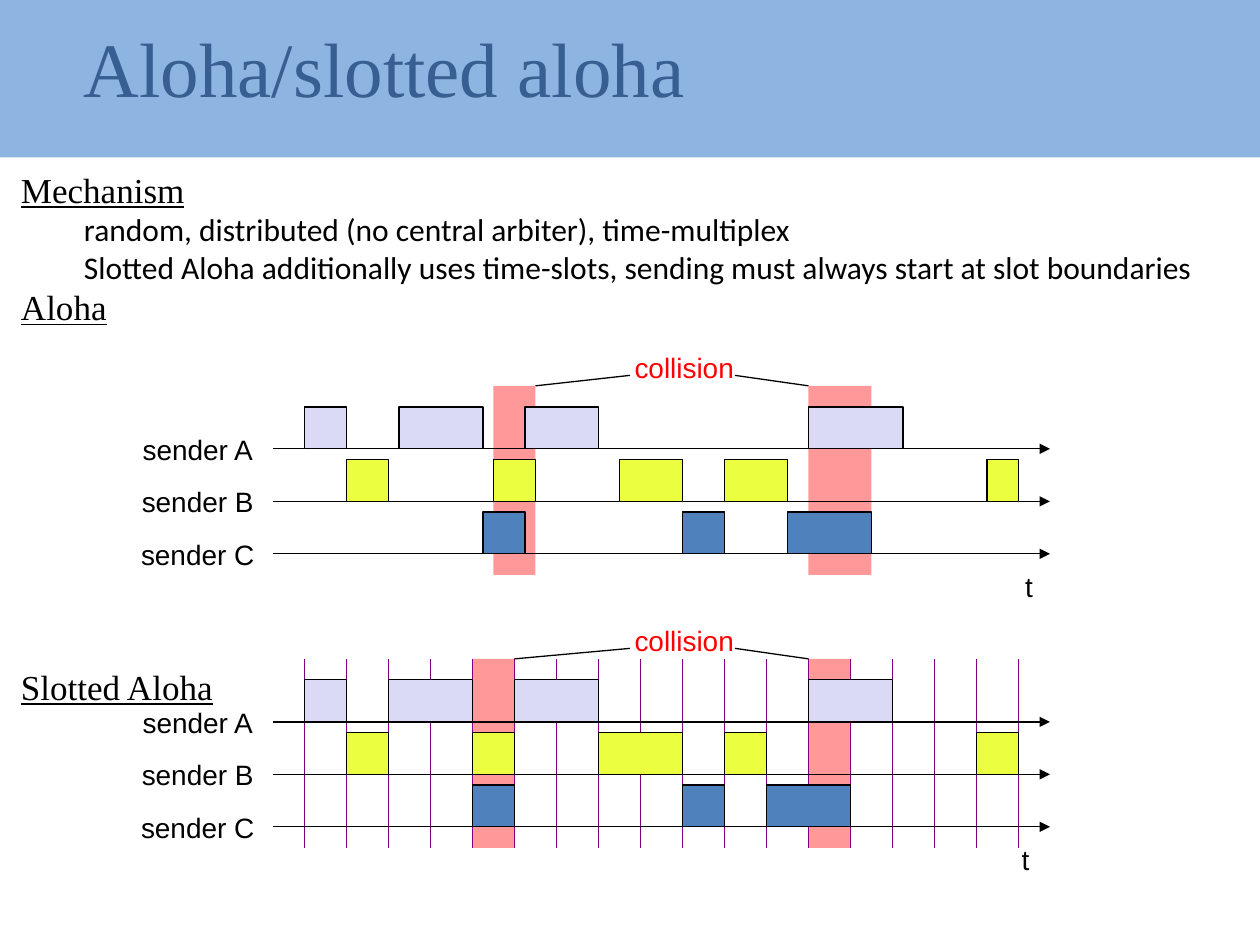
from dataclasses import dataclass

from lxml.etree import SubElement
from pptx import Presentation
from pptx.dml.color import RGBColor
from pptx.enum.shapes import MSO_CONNECTOR, MSO_SHAPE
from pptx.enum.text import MSO_ANCHOR, MSO_AUTO_SIZE, PP_ALIGN
from pptx.oxml.ns import qn
from pptx.util import Pt


@dataclass(frozen=True)
class Theme:
    banner: str = "8EB4E2"
    title: str = "375F92"
    text: str = "000000"
    alert: str = "FF0000"
    band: str = "FF9999"
    grid: str = "800080"
    senders: tuple = (("A", "DADAF6"), ("B", "ECFE40"), ("C", "4F81BD"))
    serif: str = "Times New Roman"
    sans: str = "Calibri"
    label: str = "Arial"
    title_size: int = 44
    heading_size: int = 20
    item_size: int = 18
    label_size: int = 16
    line_width: float = 0.75


THEME = Theme()
SLOT = 24
SLOTS = 17
FIRST_SLOT = 174
ROW_STEP = 30
DIAGRAM_HEIGHT = 108
LABEL_HEIGHT = 26.6

# Bands and packets are (start, length) pairs counted in slots.
DIAGRAMS = (
    {
        "top": 220.5, "time_x": 588, "slotted": False,
        "bands": ((4.5, 1), (12, 1.5)),
        "packets": (
            ((0, 1), (2.25, 2), (5.25, 1.75), (12, 2.25)),
            ((1, 1), (4.5, 1), (7.5, 1.5), (10, 1.5), (16.25, 0.75)),
            ((4.25, 1), (9, 1), (11.5, 2)),
        ),
    },
    {
        "top": 376.5, "time_x": 586, "slotted": True,
        "bands": ((4, 1), (12, 1)),
        "packets": (
            ((0, 1), (2, 2), (5, 2), (12, 2)),
            ((1, 1), (4, 1), (7, 2), (10, 1), (16, 1)),
            ((4, 1), (9, 1), (11, 2)),
        ),
    },
)

# (text, level, space before)
OUTLINE = (
    ("Mechanism", 0, 0),
    ("random, distributed (no central arbiter), time-multiplex", 1, 0),
    ("Slotted Aloha additionally uses time-slots, sending must always start"
     " at slot boundaries", 1, 0),
    ("Aloha", 0, 0),
    ("Slotted Aloha", 0, 193),
)


def slot_x(slot):
    return FIRST_SLOT + SLOT * slot


def set_all(target, values):
    for name, value in values.items():
        setattr(target, name, value)


def style_font(font, name, size, color, underline=False):
    set_all(font, {"name": name, "size": Pt(size), "underline": underline})
    font.color.rgb = RGBColor.from_string(color)


def place(shape, left, top, width, height):
    set_all(shape, {"left": Pt(left), "top": Pt(top),
                    "width": Pt(width), "height": Pt(height)})


def prepare_frame(frame, wrap, anchor):
    set_all(frame, {"word_wrap": wrap, "auto_size": MSO_AUTO_SIZE.NONE,
                    "vertical_anchor": anchor, "margin_left": 0,
                    "margin_right": 0, "margin_top": 0, "margin_bottom": 0})


def add_block(slide, left, top, width, height, fill, outlined=False):
    block = slide.shapes.add_shape(MSO_SHAPE.RECTANGLE, Pt(left), Pt(top),
                                   Pt(width), Pt(height))
    block.shadow.inherit = False
    block.fill.solid()
    block.fill.fore_color.rgb = RGBColor.from_string(fill)
    if outlined:
        block.line.color.rgb = RGBColor.from_string(THEME.text)
        block.line.width = Pt(THEME.line_width)
    else:
        block.line.fill.background()
    return block


def add_line(slide, start, end, color=THEME.text, arrow=False):
    line = slide.shapes.add_connector(MSO_CONNECTOR.STRAIGHT,
                                      *map(Pt, start), *map(Pt, end))
    line.line.color.rgb = RGBColor.from_string(color)
    line.line.width = Pt(THEME.line_width)
    properties = line.element.spPr
    if arrow:
        SubElement(properties.find(qn("a:ln")), qn("a:tailEnd"), type="triangle")
    SubElement(properties, qn("a:effectLst"))


def add_label(slide, text, center_x, center_y, width, color=THEME.text):
    box = slide.shapes.add_textbox(Pt(center_x - width / 2),
                                   Pt(center_y - LABEL_HEIGHT / 2),
                                   Pt(width), Pt(LABEL_HEIGHT))
    prepare_frame(box.text_frame, True, MSO_ANCHOR.MIDDLE)
    para = box.text_frame.paragraphs[0]
    para.text = text
    para.alignment = PP_ALIGN.CENTER
    style_font(para.font, THEME.label, THEME.label_size, color)


def fill_title(title):
    place(title, 48, 12, 612, 53.5)
    prepare_frame(title.text_frame, True, MSO_ANCHOR.TOP)
    para = title.text_frame.paragraphs[0]
    para.text = "Aloha/slotted aloha"
    para.alignment = PP_ALIGN.LEFT
    style_font(para.font, THEME.serif, THEME.title_size, THEME.title)


def fill_outline(body):
    place(body, 12, 96, 692, 310)
    frame = body.text_frame
    prepare_frame(frame, True, MSO_ANCHOR.TOP)
    for index, (text, level, gap) in enumerate(OUTLINE):
        para = frame.add_paragraph() if index else frame.paragraphs[0]
        set_all(para, {"text": text, "level": level, "space_before": Pt(gap)})
        properties = para._p.get_or_add_pPr()
        properties.set("marL", str(Pt(36 * level)))
        properties.set("indent", "0")
        SubElement(properties, qn("a:buNone"))
        if level:
            style_font(para.font, THEME.sans, THEME.item_size, THEME.text)
        else:
            style_font(para.font, THEME.serif, THEME.heading_size, THEME.text, True)


def add_collision(slide, top, bands):
    """Add the callout that points at the facing corners of both bands."""
    (first, length), (second, _) = bands
    add_label(slide, "collision", 391, top - 10.5, 72, THEME.alert)
    add_line(slide, (slot_x(first + length), top), (360, top - 6))
    add_line(slide, (slot_x(second), top), (420, top - 6))


def add_diagram(slide, top, time_x, slotted, bands, packets):
    for start, length in bands:
        add_block(slide, slot_x(start), top, SLOT * length, DIAGRAM_HEIGHT, THEME.band)
    if slotted:
        for slot in range(SLOTS + 1):
            add_line(slide, (slot_x(slot), top),
                     (slot_x(slot), top + DIAGRAM_HEIGHT), THEME.grid)
    for row, ((sender, color), sent) in enumerate(zip(THEME.senders, packets)):
        axis_y = top + 36 + ROW_STEP * row
        add_line(slide, (156, axis_y), (600, axis_y), arrow=True)
        add_label(slide, f"sender {sender}", 113, axis_y, 80)
        for start, length in sent:
            add_block(slide, slot_x(start), axis_y - SLOT, SLOT * length, SLOT,
                      color, outlined=True)
    add_collision(slide, top, bands)
    add_label(slide, "t", time_x, top + 114.5, 20)


def main():
    deck = Presentation()
    set_all(deck, {"slide_width": Pt(720), "slide_height": Pt(540)})
    slide = deck.slides.add_slide(deck.slide_layouts[1])
    title, body = slide.placeholders
    banner = add_block(slide, 0, 0, 720, 90, THEME.banner)
    title.element.addprevious(banner.element)
    fill_title(title)
    fill_outline(body)
    for diagram in DIAGRAMS:
        add_diagram(slide, **diagram)
    deck.save("out.pptx")


if __name__ == "__main__":
    main()
